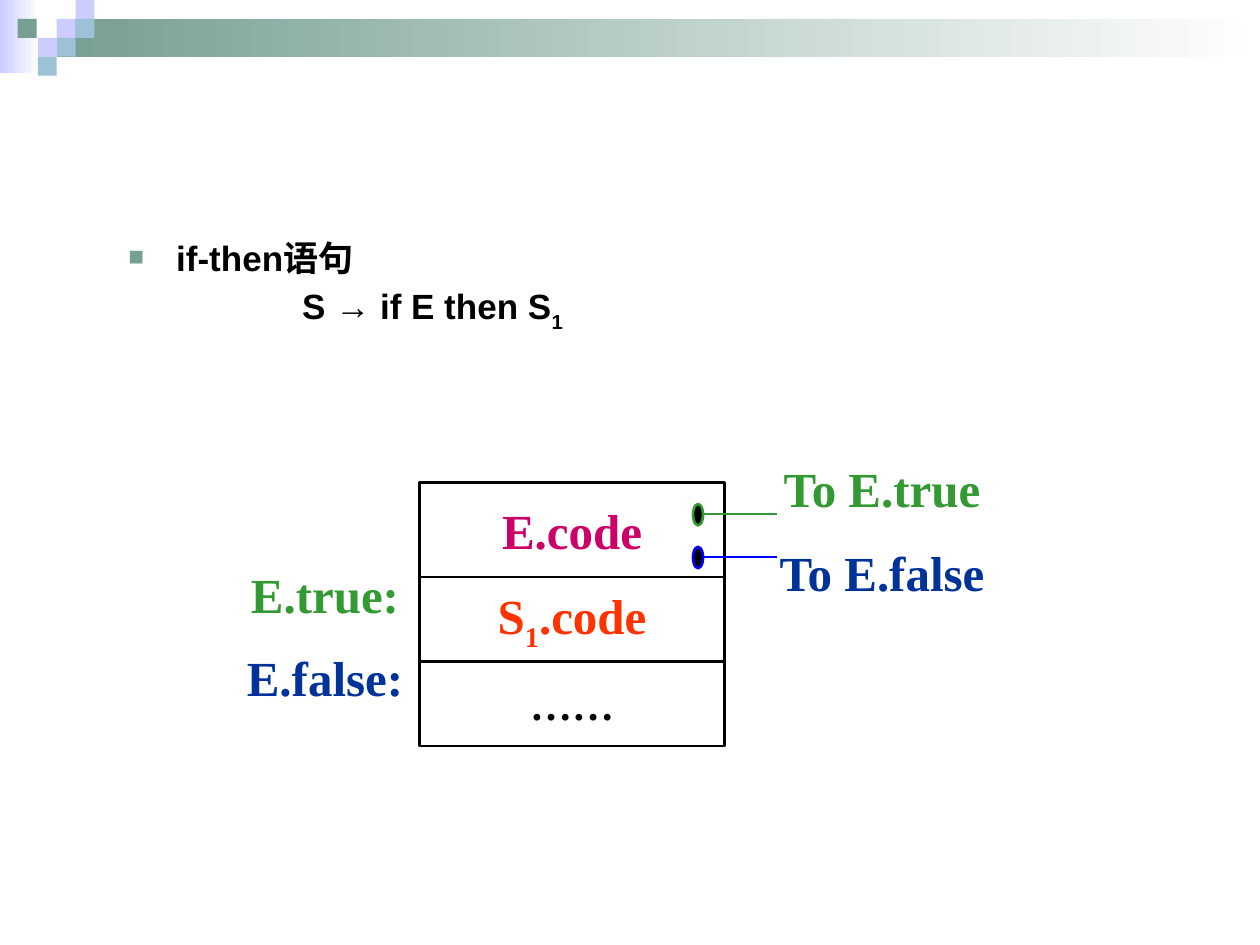
import pptx
import pptx.util
import pptx.dml.color
import pptx.enum.shapes
import pptx.enum.text
import lxml.etree

Inches, Pt = pptx.util.Inches, pptx.util.Pt
SHAPE = pptx.enum.shapes.MSO_SHAPE
STRAIGHT = pptx.enum.shapes.MSO_CONNECTOR.STRAIGHT
TEXT = pptx.enum.text

THEME = {
    "black": "000000", "white": "FFFFFF", "lilac": "CCCCFF", "sage": "779F92",
    "sky": "9DC2D7", "pink": "CC0066", "red": "FF3300", "green": "339933",
    "navy": "003399", "blue": "0000FF",
    "sans": "Arial", "serif": "Times New Roman",
    "body": 20, "code": 28, "dots": 24, "line": 1.5,
}

# Left, top, width, height, start colour
BANDS = [(0, 0, 0.31, 0.58, "lilac"), (0.45, 0.15, 9.55, 0.3, "sage")]
TILE = 0.15
TILES = [(0.45, 0.15, "lilac"), (0.6, 0, "lilac"), (0.6, 0.15, "sky"),
         (0.3, 0.3, "lilac"), (0.14, 0.15, "sage"), (0.45, 0.3, "sky"),
         (0.3, 0.45, "sky")]

# Each run is its text and its baseline shift in percent
HEAD = [("if-then语句", 0)]
RULE = [("S → if E then S", 0), ("1", -30)]

# Height, runs, colour, size
ROWS = [
    (0.75, [("E.code", 0)], "pink", "code"),
    (0.67, [("S", 0), ("1", -25), (".code", 0)], "red", "code"),
    (0.67, [("……", 0)], "black", "dots"),
]
STACK = (3.33, 3.83, 2.42)

# Left, top, width, text, colour
LABELS = [
    (6.05, 3.58, 1.9, "To E.true", "green"),
    (6.05, 4.25, 1.9, "To E.false", "navy"),
    (1.83, 4.42, 1.5, "E.true:", "green"),
    (1.83, 5.08, 1.5, "E.false:", "navy"),
]
EXITS = [(4.08, "green"), (4.42, "blue")]


def tint(name):
    return pptx.dml.color.RGBColor.from_string(THEME[name])


def box(slide, place, fill=None, line=None, kind=SHAPE.RECTANGLE):
    shape = slide.shapes.add_shape(kind, *map(Inches, place))
    shape.shadow.inherit = False
    if fill:
        shape.fill.solid()
        shape.fill.fore_color.rgb = tint(fill)
    else:
        shape.fill.background()
    if line:
        shape.line.color.rgb = tint(line)
        shape.line.width = Pt(THEME["line"])
    else:
        shape.line.fill.background()
    return shape


def fade(shape, start):
    shape.fill.gradient()
    shape.fill.gradient_angle = 0
    for stop, name in zip(shape.fill.gradient_stops, (start, "white")):
        stop.color.rgb = tint(name)


def write(para, runs, color, size, face):
    for text, shift in runs:
        run = para.add_run()
        run.text = text
        font = run.font
        font.name, font.size, font.bold = THEME[face], Pt(THEME[size]), True
        font.color.rgb = tint(color)
        if shift:
            run._r.get_or_add_rPr().set("baseline", str(shift * 1000))


def center(shape, runs, color, size):
    frame = shape.text_frame
    frame.word_wrap = False
    frame.vertical_anchor = TEXT.MSO_ANCHOR.MIDDLE
    para = frame.paragraphs[0]
    para.alignment = TEXT.PP_ALIGN.CENTER
    write(para, runs, color, size, "serif")


def bullet(para):
    props = para._p.get_or_add_pPr()

    def add(parent, tag, **attrs):
        name = pptx.oxml.ns.qn("a:" + tag)
        return lxml.etree.SubElement(parent, name, attrs)

    add(add(props, "buClr"), "srgbClr", val=THEME["sage"])
    add(props, "buSzPct", val="75000")
    add(props, "buFont", typeface=THEME["sans"])
    add(props, "buChar", char="■")


def indent(para, left, first):
    props = para._p.get_or_add_pPr()
    props.set("marL", str(Inches(left)))
    props.set("indent", str(Inches(first)))


def banner(slide):
    for *place, start in BANDS:
        fade(box(slide, place), start)
    for left, top, color in TILES:
        box(slide, (left, top, TILE, TILE), color)


def grammar(slide):
    area = slide.shapes.add_textbox(*map(Inches, (0.92, 1.92, 8.58, 0.75)))
    frame = area.text_frame
    frame.word_wrap = True
    head, rule = frame.paragraphs[0], frame.add_paragraph()
    bullet(head)
    indent(head, 0.38, -0.38)
    indent(rule, 1.38, 0)
    rule.space_before = Pt(8)
    for para, runs in ((head, HEAD), (rule, RULE)):
        para.line_spacing = 0.7
        write(para, runs, "black", "body", "sans")


def stack(slide):
    left, top, width = STACK
    for height, runs, color, size in ROWS:
        row = box(slide, (left, top, width, height), line="black")
        center(row, runs, color, size)
        top += height


def exits(slide):
    for y, color in EXITS:
        ends = map(Inches, (5.58, y, 6.17, y))
        line = slide.shapes.add_connector(STRAIGHT, *ends)
        line.line.color.rgb = tint(color)
        line.line.width = Pt(THEME["line"])
        lxml.etree.SubElement(line._element.spPr,
                              pptx.oxml.ns.qn("a:effectLst"))
        box(slide, (5.5, y - 0.08, 0.08, 0.17), "black", color, SHAPE.OVAL)


def labels(slide):
    for left, top, width, text, color in LABELS:
        place = map(Inches, (left, top, width, 0.58))
        center(slide.shapes.add_textbox(*place), [(text, 0)], color, "code")


def main():
    deck = pptx.Presentation()
    deck.slide_width, deck.slide_height = Inches(10), Inches(7.5)
    slide = deck.slides.add_slide(deck.slide_layouts[6])
    for draw in (banner, grammar, stack, exits, labels):
        draw(slide)
    deck.save("out.pptx")


if __name__ == "__main__":
    main()
